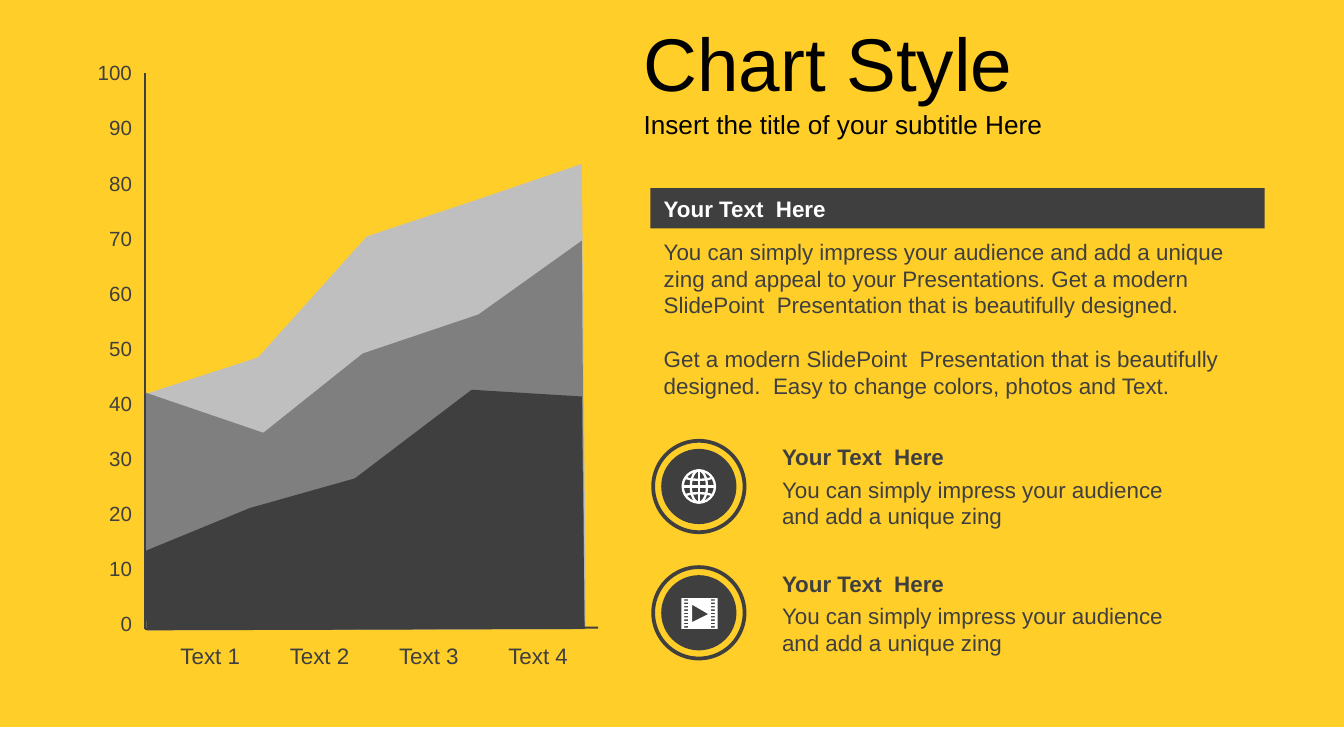
from math import cos, pi, sin

from lxml.etree import SubElement
from pptx import Presentation
from pptx.dml.color import RGBColor
from pptx.enum.shapes import MSO_CONNECTOR as Connector, MSO_SHAPE as Shape
from pptx.enum.text import MSO_ANCHOR as Anchor, PP_ALIGN as Align
from pptx.oxml.ns import qn
from pptx.util import Inches, Pt

COLORS = {
    "yellow": "FFCE29",
    "dark": "3F3F3F",
    "gray": "7F7F7F",
    "light": "BFBFBF",
    "white": "FFFFFF",
    "black": "000000",
}


def color(name):
    """Return the named colour."""
    return RGBColor.from_string(COLORS[name])


def paint(shape, fill=None, line=None, width=1):
    """Set the fill and outline of a shape and remove its shadow."""
    shape.shadow.inherit = False
    if fill:
        shape.fill.solid()
        shape.fill.fore_color.rgb = color(fill)
    else:
        shape.fill.background()
    if line:
        shape.line.color.rgb = color(line)
        shape.line.width = Pt(width)
    else:
        shape.line.fill.background()


def add_preset(page, kind, box, **look):
    """Add a painted preset shape in the box."""
    shape = page.shapes.add_shape(kind, *map(Inches, box))
    paint(shape, **look)
    return shape


def add_outline(page, contours, close=True, **look):
    """Add one freeform made of the given contours."""
    first, *others = [[(Inches(x), Inches(y)) for x, y in c] for c in contours]
    builder = page.shapes.build_freeform(*first[0])
    builder.add_line_segments(first[1:], close=close)
    for contour in others:
        builder.move_to(*contour[0])
        builder.add_line_segments(contour[1:], close=close)
    paint(builder.convert_to_shape(), **look)


def add_line(page, start, end, ink, width=1):
    """Add a straight line between two points."""
    line = page.shapes.add_connector(
        Connector.STRAIGHT, *map(Inches, (*start, *end)))
    line.line.color.rgb = color(ink)
    line.line.width = Pt(width)
    SubElement(line._element.spPr, qn("a:effectLst"))


def write(shape, texts, size=12, ink="dark", bold=False,
          align=Align.LEFT, anchor=Anchor.TOP, gap=0):
    """Write one paragraph for each text, with a gap in points between them."""
    frame = shape.text_frame
    frame.word_wrap = True
    frame.vertical_anchor = anchor
    for index, text in enumerate(texts):
        para = frame.add_paragraph() if index else frame.paragraphs[0]
        para.alignment = align
        para.space_before = Pt(gap if index else 0)
        span = para.add_run()
        span.text = text
        for key, value in dict(name="Arial", size=Pt(size), bold=bold).items():
            setattr(span.font, key, value)
        span.font.color.rgb = color(ink)


def add_text(page, box, *texts, **look):
    """Add a text box."""
    write(page.shapes.add_textbox(*map(Inches, box)), texts, **look)


def add_heading(page, left, top, width):
    """Place the title and the subtitle."""
    add_text(page, (left, top, width, 0.63), "Chart Style",
             size=40, ink="black", anchor=Anchor.MIDDLE)
    add_text(page, (left, top + 0.63, width, 0.31),
             "Insert the title of your subtitle Here",
             size=14, ink="black", anchor=Anchor.MIDDLE)


def add_area_chart(page, left, bottom):
    """Place the hand-drawn area chart with its axes around its origin."""
    areas = {
        "light": [(0.02, 0.01), (3.28, 0), (3.25, -3.46), (2.46, -3.19),
                  (1.65, -2.92), (0.84, -2.02), (0.01, -1.75)],
        "gray": [(0.01, 0), (3.27, 0), (3.25, -2.89), (2.48, -2.34),
                 (1.62, -2.05), (0.88, -1.46), (0, -1.76)],
        "dark": [(0.01, 0.01), (3.27, 0), (3.25, -1.73), (2.43, -1.78),
                 (1.56, -1.12), (0.78, -0.9), (0, -0.58)],
    }
    for index in range(4):
        add_text(page, (left + 0.04 + 0.813 * index, bottom + 0.05, 0.89, 0.39),
                 f"Text {index + 1}", align=Align.CENTER)
    for index in range(11):
        add_text(page, (left - 0.49, bottom - 0.18 - 0.41 * index, 0.49, 0.37),
                 str(10 * index), size=11, align=Align.RIGHT)
    for name, points in areas.items():
        if name == "dark":
            add_line(page, (left, bottom), (left, bottom - 4.14), "dark")
            add_line(page, (left, bottom), (left + 3.37, bottom - 0.01), "dark")
        add_outline(page, [[(left + x, bottom + y) for x, y in points]], fill=name)


def add_description(page, left, top, width):
    """Place the banner and the paragraphs below it."""
    add_text(page, (left, top + 0.32, width, 1.31),
             "You can simply impress your audience and add a unique zing and "
             "appeal to your Presentations. Get a modern SlidePoint  "
             "Presentation that is beautifully designed.",
             "Get a modern SlidePoint  Presentation that is beautifully "
             "designed.  Easy to change colors, photos and Text.", gap=14.5)
    banner = add_preset(page, Shape.RECTANGLE, (left, top, width, 0.3), fill="dark")
    write(banner, ["Your Text  Here"], ink="white", bold=True)


def add_globe(page, x, y):
    """Draw a globe icon centred on the point."""
    radius = 0.12
    look = dict(line="white", width=1.25)
    for half in (radius, radius / 2):
        add_preset(page, Shape.OVAL,
                   (x - half, y - radius, 2 * half, 2 * radius), **look)
    add_line(page, (x - radius, y), (x + radius, y), "white", 1.25)
    add_line(page, (x, y - radius), (x, y + radius), "white", 1.25)
    angles = [pi * step / 8 for step in range(9)]
    for side in (-1, 1):
        arc = [(x - 0.1 * cos(a), y + side * (0.07 - 0.02 * sin(a))) for a in angles]
        add_outline(page, [arc], close=False, **look)


def rectangle(left, top, width, height):
    """Return the corners of a rectangle."""
    right, bottom = left + width, top + height
    return [(left, top), (right, top), (right, bottom), (left, bottom)]


def add_film(page, x, y):
    """Draw a film icon with a play mark centred on the point."""
    left, top = x - 0.13, y - 0.11
    holes = [rectangle(left + side, top + 0.01 + 0.025 * row, 0.03, 0.01)
             for row in range(9) for side in (0.02, 0.22)]
    play = [(left + 0.08, top + 0.05), (left + 0.08, top + 0.18),
            (left + 0.2, top + 0.12)]
    add_outline(page, [rectangle(left, top, 0.27, 0.23), *holes, play], fill="white")


def add_feature(page, left, top, draw_icon):
    """Place a ringed icon with its heading and text."""
    add_preset(page, Shape.OVAL, (left, top, 0.68, 0.68),
               fill="yellow", line="dark", width=2)
    add_preset(page, Shape.OVAL, (left + 0.06, top + 0.06, 0.56, 0.56), fill="dark")
    draw_icon(page, left + 0.34, top + 0.34)
    add_text(page, (left + 0.86, top + 0.21, 3.22, 0.5),
             "You can simply impress your audience and add a unique zing")
    add_text(page, (left + 0.86, top - 0.03, 3.22, 0.3), "Your Text  Here", bold=True)


def main():
    """Build the slide and save the deck."""
    deck = Presentation()
    deck.slide_width = Inches(10)
    deck.slide_height = deck.slide_width * 9 // 16
    page = deck.slides.add_slide(deck.slide_layouts[6])
    page.background.fill.solid()
    page.background.fill.fore_color.rgb = color("yellow")
    add_preset(page, Shape.RECTANGLE, (0, 5.41, 10, 0.24), fill="white")
    add_area_chart(page, 1.08, 4.68)
    add_heading(page, 4.69, 0.14, 5.31)
    add_description(page, 4.84, 1.4, 4.57)
    for top, draw_icon in ((3.28, add_globe), (4.22, add_film)):
        add_feature(page, 4.86, top, draw_icon)
    deck.save("out.pptx")


if __name__ == "__main__":
    main()
